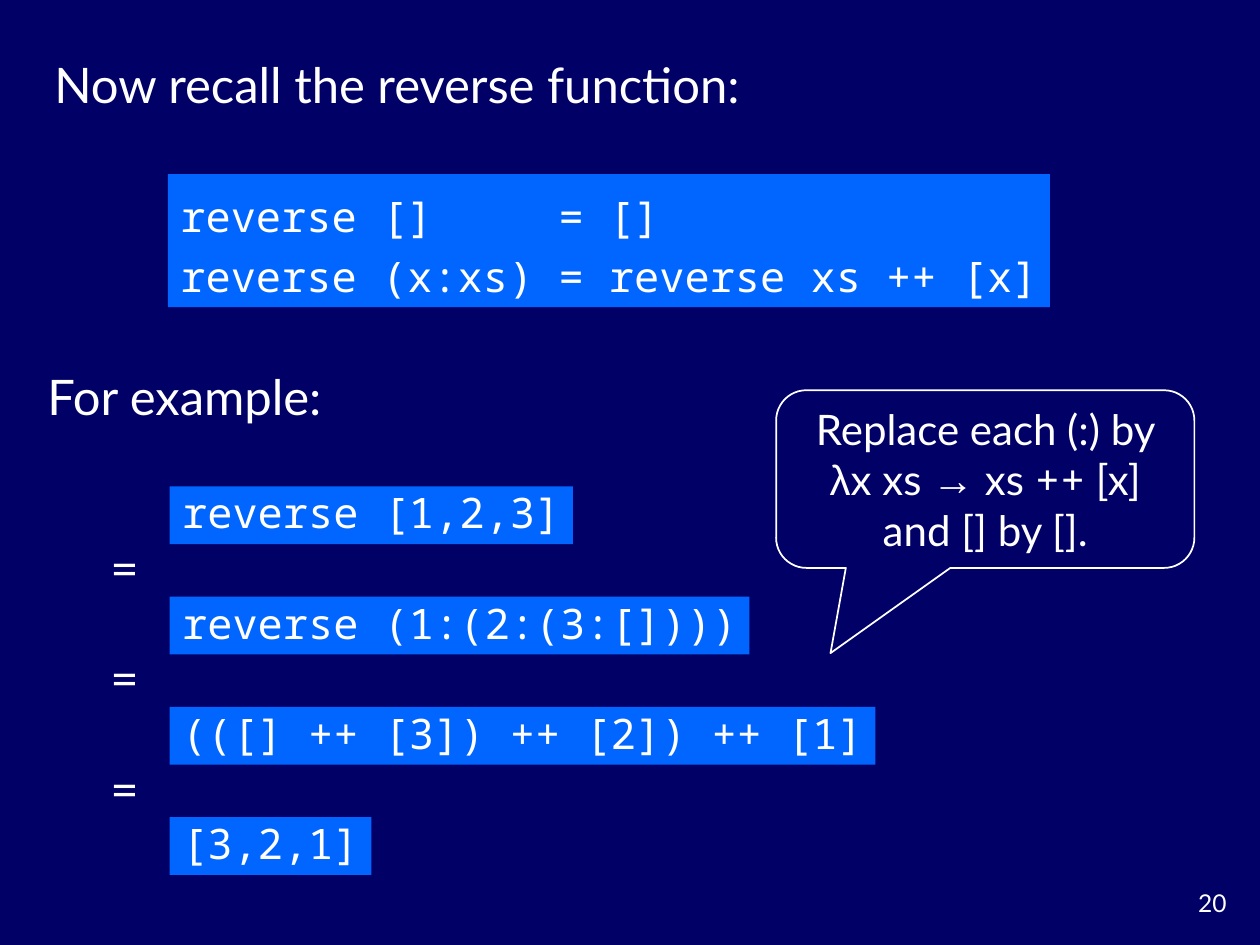
from dataclasses import dataclass

from pptx import Presentation
from pptx.dml.color import RGBColor
from pptx.enum.shapes import MSO_SHAPE as Shape
from pptx.enum.text import MSO_ANCHOR as Anchor, MSO_AUTO_SIZE as AutoSize, PP_ALIGN as Align
from pptx.shapes.autoshape import Shape as AutoShape
from pptx.slide import Slide
from pptx.util import Pt


@dataclass(frozen=True)
class Theme:
    background: RGBColor = RGBColor(0x00, 0x00, 0x66)
    panel: RGBColor = RGBColor(0x00, 0x66, 0xFF)
    ink: RGBColor = RGBColor(0xFF, 0xFF, 0xFF)
    prose: str = "Lato"
    code: str = "Noto Sans Mono"
    symbol: str = "Arial"
    heading_size: int = 28
    code_size: int = 24
    number_size: int = 14


@dataclass(frozen=True)
class Label:
    text: str
    left: float
    top: float
    width: float
    height: float = 41
    size: int = 28
    align: Align = Align.LEFT
    wrap: bool = True


@dataclass(frozen=True)
class CodePanel:
    lines: tuple[str, ...]
    left: float
    top: float
    height: float
    spacing: float


THEME = Theme()
CODE_ADVANCE = 0.6 * THEME.code_size  # width of one monospaced character
SIDE_INSETS = 14.4

# Evaluation steps: evenly spaced, with an equals sign between neighbours
STEPS = ("reverse [1,2,3]", "reverse (1:(2:(3:[])))", "(([] ++ [3]) ++ [2]) ++ [1]", "[3,2,1]")
STEP_TOP, STEP_PITCH, EQUALS_OFFSET = 278, 63, 25.5

DEFINITION = CodePanel(
    ("reverse []     = []", "reverse (x:xs) = reverse xs ++ [x]"), 96, 99.5, 76, 1.2)

HINT = (
    ("Replace each (:) by ", THEME.prose),
    ("λ", THEME.symbol),
    ("x xs ", THEME.prose),
    ("→", THEME.symbol),
    (" xs ", THEME.prose),
    ("++", THEME.code),
    (" [x] and [] by [].", THEME.prose),
)


def fit_frame(shape: AutoShape, wrap: bool) -> None:
    frame = shape.text_frame
    frame.word_wrap = wrap
    frame.auto_size = AutoSize.SHAPE_TO_FIT_TEXT
    frame.vertical_anchor = Anchor.MIDDLE


def style_paragraph(paragraph, size: int, face: str | None, align: Align) -> None:
    paragraph.alignment = align
    paragraph.font.size = Pt(size)
    paragraph.font.color.rgb = THEME.ink
    if face:
        paragraph.font.name = face


def draw_label(slide: Slide, label: Label) -> AutoShape:
    box = slide.shapes.add_textbox(
        Pt(label.left), Pt(label.top), Pt(label.width), Pt(label.height))
    fit_frame(box, label.wrap)
    paragraph = box.text_frame.paragraphs[0]
    paragraph.text = label.text
    style_paragraph(paragraph, label.size, THEME.prose, label.align)
    return box


def draw_code(slide: Slide, panel: CodePanel) -> None:
    width = max(map(len, panel.lines)) * CODE_ADVANCE + SIDE_INSETS
    box = slide.shapes.add_shape(
        Shape.RECTANGLE, Pt(panel.left), Pt(panel.top), Pt(width), Pt(panel.height))
    box.shadow.inherit = False
    box.fill.solid()
    box.fill.fore_color.rgb = THEME.panel
    box.line.fill.background()
    fit_frame(box, wrap=False)
    box.text_frame.text = "\n".join(panel.lines)
    for paragraph in box.text_frame.paragraphs:
        style_paragraph(paragraph, THEME.code_size, THEME.code, Align.LEFT)
        paragraph.line_spacing = panel.spacing


def draw_hint(slide: Slide) -> None:
    callout = slide.shapes.add_shape(
        Shape.ROUNDED_RECTANGULAR_CALLOUT, Pt(443.5), Pt(223), Pt(239), Pt(101.5))
    callout.shadow.inherit = False
    callout.fill.background()
    callout.line.color.rgb = THEME.ink
    callout.line.width = Pt(1)
    for index, value in enumerate((-0.37, 0.98, 0.17)):
        callout.adjustments[index] = value
    fit_frame(callout, wrap=True)
    paragraph = callout.text_frame.paragraphs[0]
    style_paragraph(paragraph, THEME.code_size, None, Align.CENTER)
    for text, face in HINT:
        run = paragraph.add_run()
        run.text = text
        run.font.name = face


def main() -> None:
    deck = Presentation()
    deck.slide_width, deck.slide_height = Pt(720), Pt(540)
    slide = deck.slides.add_slide(deck.slide_layouts[6])
    slide.background.fill.solid()
    slide.background.fill.fore_color.rgb = THEME.background

    # Slide number
    number = draw_label(slide, Label(
        "20", 660, 504, 48, 24, size=THEME.number_size, align=Align.RIGHT))
    number.text_frame.auto_size = AutoSize.NONE
    number.text_frame.vertical_anchor = Anchor.TOP

    # Definition of reverse
    draw_label(slide, Label(
        "Now recall the reverse function:", 24, 27.5, 646, size=THEME.heading_size))
    draw_code(slide, DEFINITION)

    # Worked example
    draw_label(slide, Label(
        "For example:", 20, 206, 184.5, size=THEME.heading_size, wrap=False))
    for index, expression in enumerate(STEPS):
        top = STEP_TOP + index * STEP_PITCH
        draw_code(slide, CodePanel((expression,), 97, top, 33, 0.9))
        if index < len(STEPS) - 1:
            draw_label(slide, Label(
                "=", 56, top + EQUALS_OFFSET, 30.5,
                size=THEME.heading_size, align=Align.CENTER, wrap=False))

    # Hint callout
    draw_hint(slide)

    deck.save("out.pptx")


if __name__ == "__main__":
    main()
